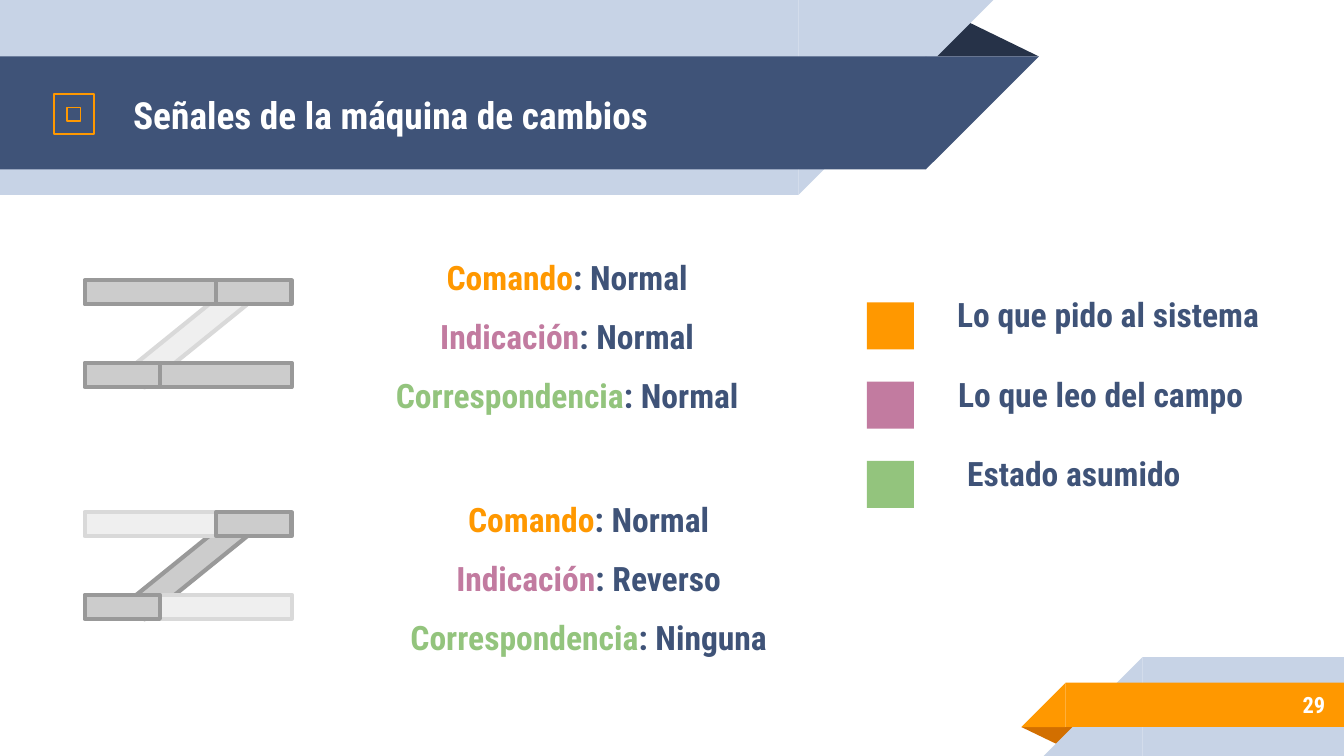
from dataclasses import dataclass
from math import cos, radians, sin

from lxml import etree
from pptx import Presentation
from pptx.dml.color import RGBColor
from pptx.enum.shapes import MSO_SHAPE
from pptx.enum.text import MSO_ANCHOR, MSO_AUTO_SIZE, PP_ALIGN
from pptx.oxml.ns import qn
from pptx.util import Inches, Pt

RECT, WEDGE, PEAK = MSO_SHAPE.RECTANGLE, MSO_SHAPE.RIGHT_TRIANGLE, MSO_SHAPE.ISOSCELES_TRIANGLE
TOP, MIDDLE = MSO_ANCHOR.TOP, MSO_ANCHOR.MIDDLE
LEFT, CENTER, RIGHT = PP_ALIGN.LEFT, PP_ALIGN.CENTER, PP_ALIGN.RIGHT

INK = {
    "navy": "3F5378", "night": "263248", "pale": "C7D3E6", "orange": "FF9800",
    "rust": "D26F00", "pink": "C27BA0", "green": "93C47D", "white": "FFFFFF",
    "on": "CCCCCC", "on edge": "999999", "off": "EFEFEF", "off edge": "D9D9D9",
}

deck = Presentation()
deck.slide_width, deck.slide_height = Inches(10), Inches(5.625)
COL, ROW = deck.slide_width / 100, deck.slide_height / 56.25
slide = deck.slides.add_slide(deck.slide_layouts[3])
shapes = slide.shapes


@dataclass
class Box:
    col: float
    row: float
    cols: float
    rows: float

    def span(self) -> tuple[int, ...]:
        return (round(self.col * COL), round(self.row * ROW),
                round(self.cols * COL), round(self.rows * ROW))


@dataclass
class Part:
    kind: int
    box: Box
    ink: str
    turn: float = 0
    flip: bool = False
    edge: str = ""


@dataclass
class Run:
    text: str
    ink: str


def color(name: str) -> RGBColor:
    return RGBColor.from_string(INK[name])


def draw(part: Part) -> None:
    shape = shapes.add_shape(part.kind, *part.box.span())
    shape.shadow.inherit = False
    shape.rotation = part.turn
    shape.fill.solid()
    shape.fill.fore_color.rgb = color(part.ink)
    if part.kind == PEAK:
        shape.adjustments[0] = 0.324
    if part.flip:
        shape._element.spPr.xfrm.set("flipH", "1")
    if part.edge:
        shape.line.color.rgb = color(part.edge)
        shape.line.width = Pt(2.25)
    else:
        shape.line.fill.background()


def band(box: Box, wedge: float, ink: str, turn: float = 0) -> None:
    start = box.col + box.cols if turn else box.col - wedge
    draw(Part(RECT, box, ink, turn, True))
    draw(Part(WEDGE, Box(start, box.row, wedge, box.rows), ink, turn, True))


def write(shape, box: Box, lines: list[list[Run]], size: float,
          align: int = CENTER, anchor: int = MIDDLE) -> None:
    shapes._spTree.append(shape._element)
    shape.left, shape.top, shape.width, shape.height = box.span()
    frame = shape.text_frame
    pad = Inches(0.1)
    form = {"word_wrap": True, "auto_size": MSO_AUTO_SIZE.NONE, "vertical_anchor": anchor,
            "margin_left": pad, "margin_right": pad, "margin_top": pad, "margin_bottom": pad}
    for key, value in form.items():
        setattr(frame, key, value)
    for n, line in enumerate(lines):
        para = frame.add_paragraph() if n else frame.paragraphs[0]
        props = para._p.get_or_add_pPr()
        props.set("marL", "0")
        props.set("indent", "0")
        etree.SubElement(props, qn("a:buNone"))
        para.alignment = align
        para.space_before = Pt(10 if n else 0)
        for item in line:
            run = para.add_run()
            run.text = item.text
            font = {"name": "Roboto Condensed", "size": Pt(size), "bold": True}
            for key, value in font.items():
                setattr(run.font, key, value)
            run.font.color.rgb = color(item.ink)


def label(box: Box, text: str, ink: str, size: float, align: int, anchor: int) -> None:
    write(shapes.add_textbox(*box.span()), box, [[Run(text, ink)]], size, align, anchor)


def ring(points: list[tuple[float, float]]) -> list[tuple[float, float]]:
    return [(5.55 + r * cos(radians(a)), 8.45 + r * sin(radians(a))) for a, r in points]


def gear() -> None:
    tooth = [(-22.5, 1.25), (-15.5, 1.3), (-9.5, 1.64), (-7, 1.73), (-4.5, 1.75),
             (4.5, 1.75), (7, 1.73), (9.5, 1.64), (15.5, 1.3)]
    rim = ring([(45 * n + a, r) for n in range(8) for a, r in tooth])
    hole = ring([(a, 0.6) for a in range(0, 360, 12)])
    pen = shapes.build_freeform(*rim[0], scale=(COL, ROW))
    pen.add_line_segments(rim[1:])
    pen.move_to(*hole[0])
    pen.add_line_segments(hole[1:])
    shape = pen.convert_to_shape()
    shape.shadow.inherit = False
    shape.fill.background()
    shape.line.color.rgb = color("orange")
    shape.line.width = Pt(0.96)


def track(row: float, ramp: str, main: str) -> None:
    left, long, short, thick, drop = 6.3, 9.8, 5.6, 1.8, 6.15
    bars = [
        (left + 2.8, row + 3.3, long, ramp, 321),
        (left, row, long, main, 0),
        (left + short, row + drop, long, main, 0),
        (left + long, row, short, "on", 0),
        (left, row + drop, short, "on", 0),
    ]
    for col, top, cols, state, turn in bars:
        draw(Part(RECT, Box(col, top, cols, thick), state, turn, edge=f"{state} edge"))


def status(shape, box: Box, values: list[str]) -> None:
    keys = [("Comando", "orange"), ("Indicación", "pink"), ("Correspondencia", "green")]
    lines = [[Run(key, ink), Run(f": {value}", "navy")]
             for (key, ink), value in zip(keys, values)]
    write(shape, box, lines, 18)


title, first, second = slide.placeholders

draw(Part(PEAK, Box(68.8, 1.4, 8.5, 2.8), "night"))
band(Box(0, 0, 59.4, 14.5), 14.5, "pale", 180)
band(Box(0, 4.2, 68.9, 8.4), 8.4, "navy", 180)
draw(Part(PEAK, Box(76, 54.1, 4.3, 1.4), "rust", 180))
band(Box(85, 48.9, 15, 7.35), 7.35, "pale")
band(Box(79.3, 50.8, 20.7, 3.3), 3.3, "orange")

write(title, Box(8.9, 4.3, 60.1, 8.4),
      [[Run("Señales de la máquina de cambios", "white")]], 20, LEFT)
label(Box(83.3, 50.7, 16.3, 3.5), "29", "white", 12, RIGHT, MIDDLE)
gear()

track(20.85, "off", "on")
track(38.1, "on", "off")
status(first, Box(24.7, 17.7, 35, 14.6), ["Normal", "Normal", "Normal"])
status(second, Box(26.3, 35.7, 35, 14.6), ["Normal", "Reverso", "Ninguna"])

legend = [
    ("Lo que pido al sistema", "orange", 69, 26.9),
    ("Lo que leo del campo", "pink", 69.9, 24),
    ("Estado asumido", "green", 70.4, 19),
]
for n, (text, ink, col, cols) in enumerate(legend):
    row = 22.5 + 5.9 * n
    draw(Part(RECT, Box(64.5, row, 3.5, 3.5), ink))
    label(Box(col, row - 1.6, cols, 5.1), text, "navy", 18, CENTER, TOP)

deck.save("out.pptx")
